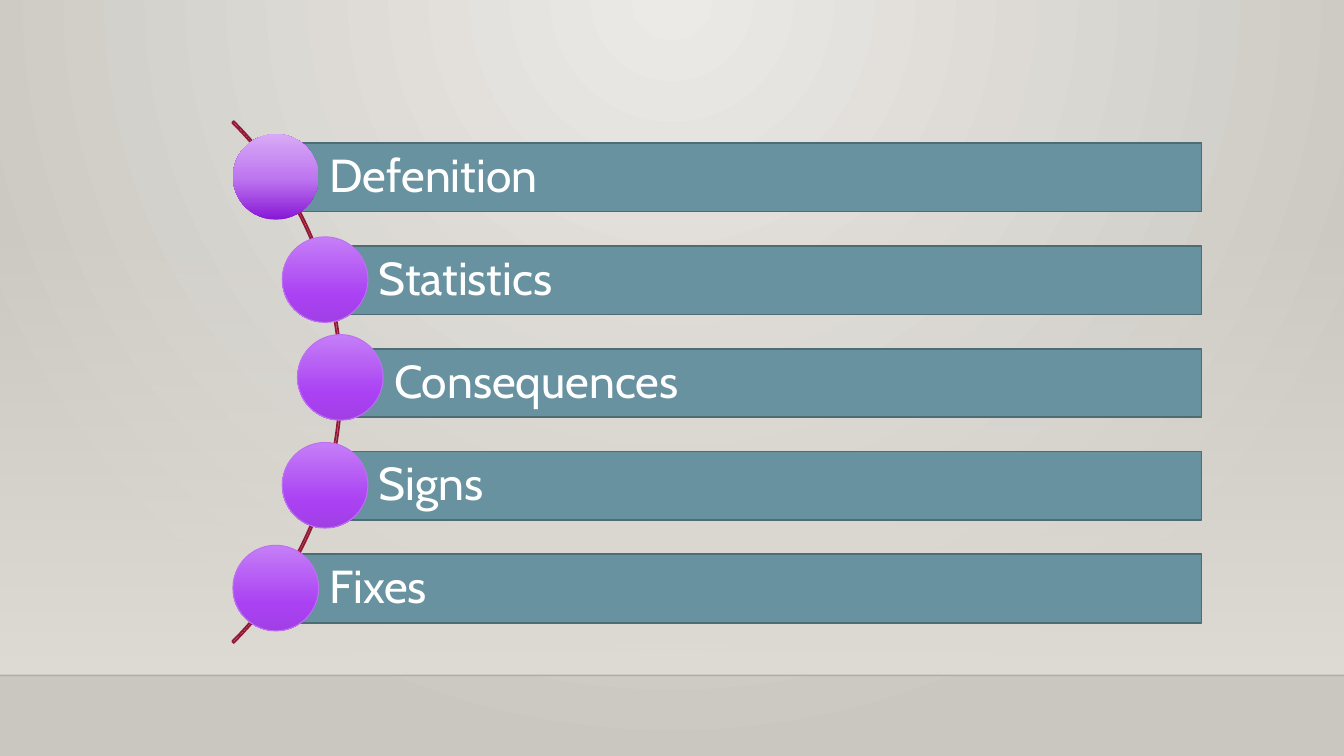
import pptx
import pptx.dml.color
import pptx.enum.shapes
import pptx.enum.text
import pptx.oxml
import pptx.oxml.ns
import pptx.util
import lxml.etree

RGB = pptx.dml.color.RGBColor
SHAPE = pptx.enum.shapes.MSO_SHAPE

WHITE = RGB(0xFF, 0xFF, 0xFF)
GLOW = RGB(0xEC, 0xEA, 0xE7)
EDGE = RGB(0xCA, 0xC7, 0xC1)
WALL = RGB(0xDF, 0xDB, 0xD5)
FLOOR_LINE = RGB(0x00, 0x00, 0x01)
CRIMSON = RGB(0x93, 0x18, 0x35)
TEAL = RGB(0x68, 0x92, 0xA0)
DARK_TEAL = RGB(0x4D, 0x6C, 0x76)
BALL_LINE = RGB(0xBC, 0x72, 0xF0)

# Gradient stops: position, colour, opacity (all but colour in percent)
WALL_STOPS = [(0, WALL, 0), (100, WALL, 100)]
BACKDROP_STOPS = [(0, GLOW, 100), (100, EDGE, 100)]
FIRST_BALL_STOPS = [(0, RGB(0x87, 0x17, 0xD6), 100), (48, RGB(0xBE, 0x76, 0xF0), 100),
                    (100, RGB(0xD7, 0xAA, 0xF6), 100)]
BALL_STOPS = [(0, RGB(0xC5, 0x7F, 0xF7), 100), (69, RGB(0xAA, 0x41, 0xF3), 100),
              (100, RGB(0xA1, 0x3F, 0xE5), 100)]
DOWN = '<a:lin ang="5400000" scaled="0"/>'
UP = '<a:lin ang="16200000" scaled="0"/>'
FROM_TOP_CENTRE = ('<a:path path="circle"><a:fillToRect l="43000" t="0" r="43000" b="100000"/>'
                   '</a:path>')

# Agenda layout, in percent of the slide's width and height
TOPICS = [("Defenition", 20.48), ("Statistics", 24.15), ("Consequences", 25.28),
          ("Signs", 24.15), ("Fixes", 20.48)]
FIRST_TOP, ROW_PITCH = 18.93, 13.6
BAR_RIGHT, BAR_HEIGHT = 89.4, 9.07
BALL_WIDTH, BALL_HEIGHT = 6.38, 11.33
BALL_SHIFT, BALL_RISE = 3.15, 1.2
MIDDLE_BALL_RISE = 1.87
FLOOR_TOP = 89.33


class SlideBuilder:
    """Draws on one slide; places are percentages of its width and height."""

    font = "Cabin"
    text_size = pptx.util.Pt(33)
    text_indent = 4.05

    def __init__(self, deck):
        self.deck = deck
        self.slide = deck.slides.add_slide(deck.slide_layouts[6])

    def across(self, share):
        return round(self.deck.slide_width * share / 100)

    def down(self, share):
        return round(self.deck.slide_height * share / 100)

    def gradient(self, stops, direction):
        marks = "".join(
            f'<a:gs pos="{place * 1000}"><a:srgbClr val="{colour}">'
            f'<a:alpha val="{opacity * 1000}"/></a:srgbClr></a:gs>'
            for place, colour, opacity in stops)
        return pptx.oxml.parse_xml(
            f'<a:gradFill {pptx.oxml.ns.nsdecls("a")} rotWithShape="1">'
            f'<a:gsLst>{marks}</a:gsLst>{direction}</a:gradFill>')

    def backdrop(self, stops, direction):
        fill = self.slide.background.fill
        fill.solid()
        fill.fore_color.rgb = stops[0][1]
        solid = next(self.slide.element.iter(pptx.oxml.ns.qn("a:solidFill")))
        solid.getparent().replace(solid, self.gradient(stops, direction))

    def shape(self, kind, left, top, width, height, line=None, weight=1.25):
        shape = self.slide.shapes.add_shape(
            kind, self.across(left), self.down(top), self.across(width), self.down(height))
        shape.shadow.inherit = False
        shape.fill.background()
        if line is None:
            shape.line.fill.background()
        else:
            shape.line.color.rgb = line
            shape.line.width = pptx.util.Pt(weight)
        return shape

    def gradient_shape(self, kind, place, stops, direction, line=None, weight=0.75):
        shape = self.shape(kind, *place, line, weight)
        empty = shape.element.spPr.find(pptx.oxml.ns.qn("a:noFill"))
        empty.getparent().replace(empty, self.gradient(stops, direction))

    def arc(self, place, adjustments, line):
        arc = self.shape(SHAPE.BLOCK_ARC, *place, line)
        for index, value in enumerate(adjustments):
            arc.adjustments[index] = value

    def level_line(self, top, colour, opacity):
        line = self.slide.shapes.add_connector(
            pptx.enum.shapes.MSO_CONNECTOR.STRAIGHT,
            0, self.down(top), self.across(100), self.down(top))
        line.line.color.rgb = colour
        line.line.width = pptx.util.Pt(1)
        properties = line.element.spPr
        tone = next(properties.iter(pptx.oxml.ns.qn("a:srgbClr")))
        lxml.etree.SubElement(tone, pptx.oxml.ns.qn("a:alpha"), val=str(opacity * 1000))
        lxml.etree.SubElement(properties, pptx.oxml.ns.qn("a:effectLst"))

    def bar(self, text, left, top):
        box = self.shape(SHAPE.RECTANGLE, left, top, BAR_RIGHT - left, BAR_HEIGHT, DARK_TEAL)
        box.fill.solid()
        box.fill.fore_color.rgb = TEAL
        frame = box.text_frame
        frame.word_wrap = True
        frame.vertical_anchor = pptx.enum.text.MSO_ANCHOR.MIDDLE
        frame.margin_left = self.across(self.text_indent)
        frame.margin_top = frame.margin_right = frame.margin_bottom = pptx.util.Inches(0.09)
        para = frame.paragraphs[0]
        para.alignment = pptx.enum.text.PP_ALIGN.LEFT
        para.line_spacing = 0.9
        span = para.add_run()
        span.text = text
        span.font.name = self.font
        span.font.size = self.text_size
        span.font.color.rgb = WHITE


def main():
    deck = pptx.Presentation()
    deck.slide_width = pptx.util.Inches(13.33)
    deck.slide_height = pptx.util.Inches(7.5)
    page = SlideBuilder(deck)

    # Wall and floor
    page.backdrop(BACKDROP_STOPS, FROM_TOP_CENTRE)
    page.gradient_shape(SHAPE.RECTANGLE, (0, 29.47, 100, FLOOR_TOP - 29.47), WALL_STOPS, DOWN)
    page.level_line(FLOOR_TOP, FLOOR_LINE, 20)

    # Curve behind the agenda
    page.arc((-29.48, 1.73, 54.91, 97.6), (189, 27, 0.003), CRIMSON)

    # Agenda bars, each with its ball
    for row, (topic, left) in enumerate(TOPICS):
        top = FIRST_TOP + row * ROW_PITCH
        rise = MIDDLE_BALL_RISE if row == len(TOPICS) // 2 else BALL_RISE
        ball = (left - BALL_SHIFT, top - rise, BALL_WIDTH, BALL_HEIGHT)
        page.bar(topic, left, top)
        if row == 0:
            page.gradient_shape(SHAPE.OVAL, ball, FIRST_BALL_STOPS, UP)
        else:
            page.gradient_shape(SHAPE.OVAL, ball, BALL_STOPS, DOWN, BALL_LINE)

    deck.save("out.pptx")


if __name__ == "__main__":
    main()
